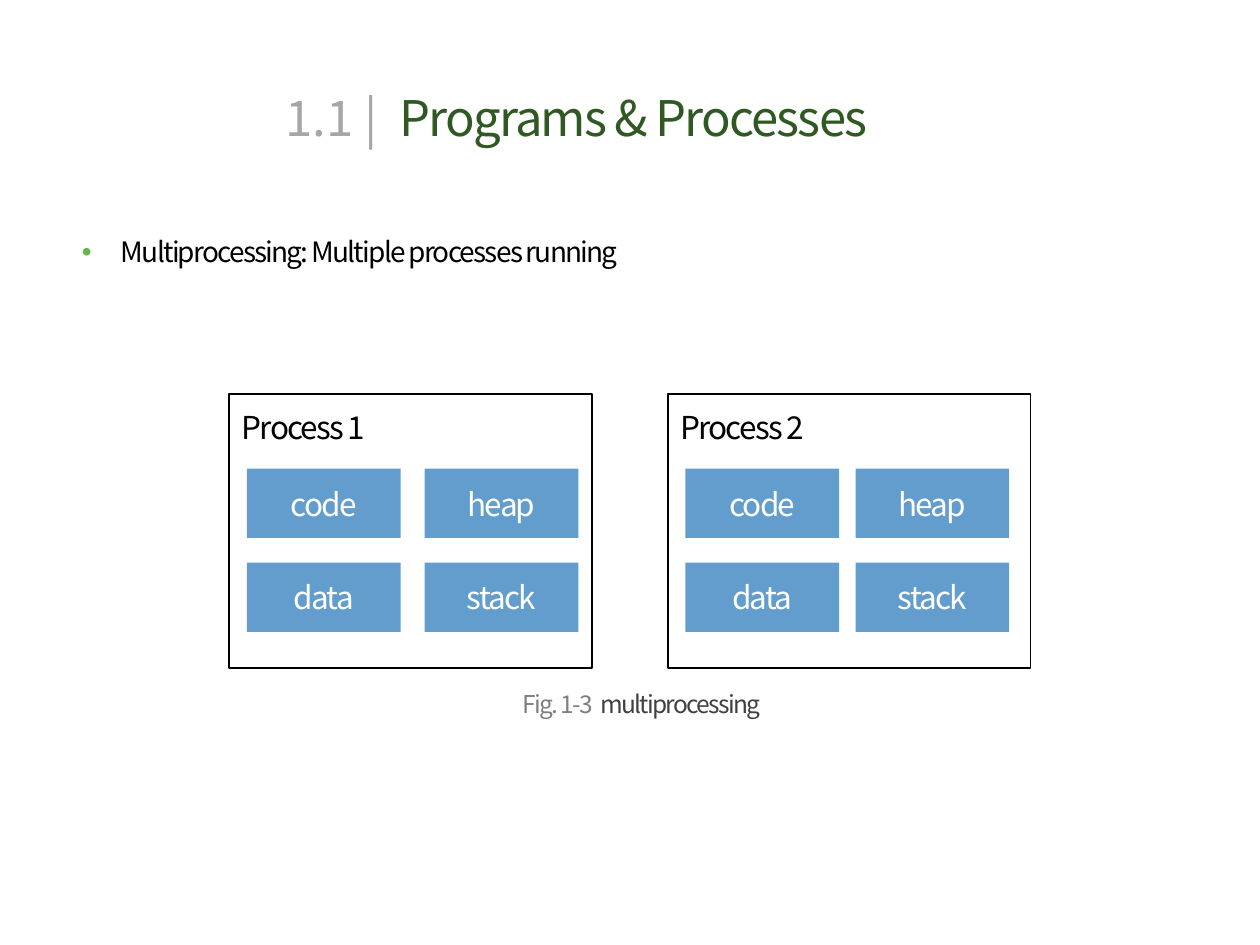
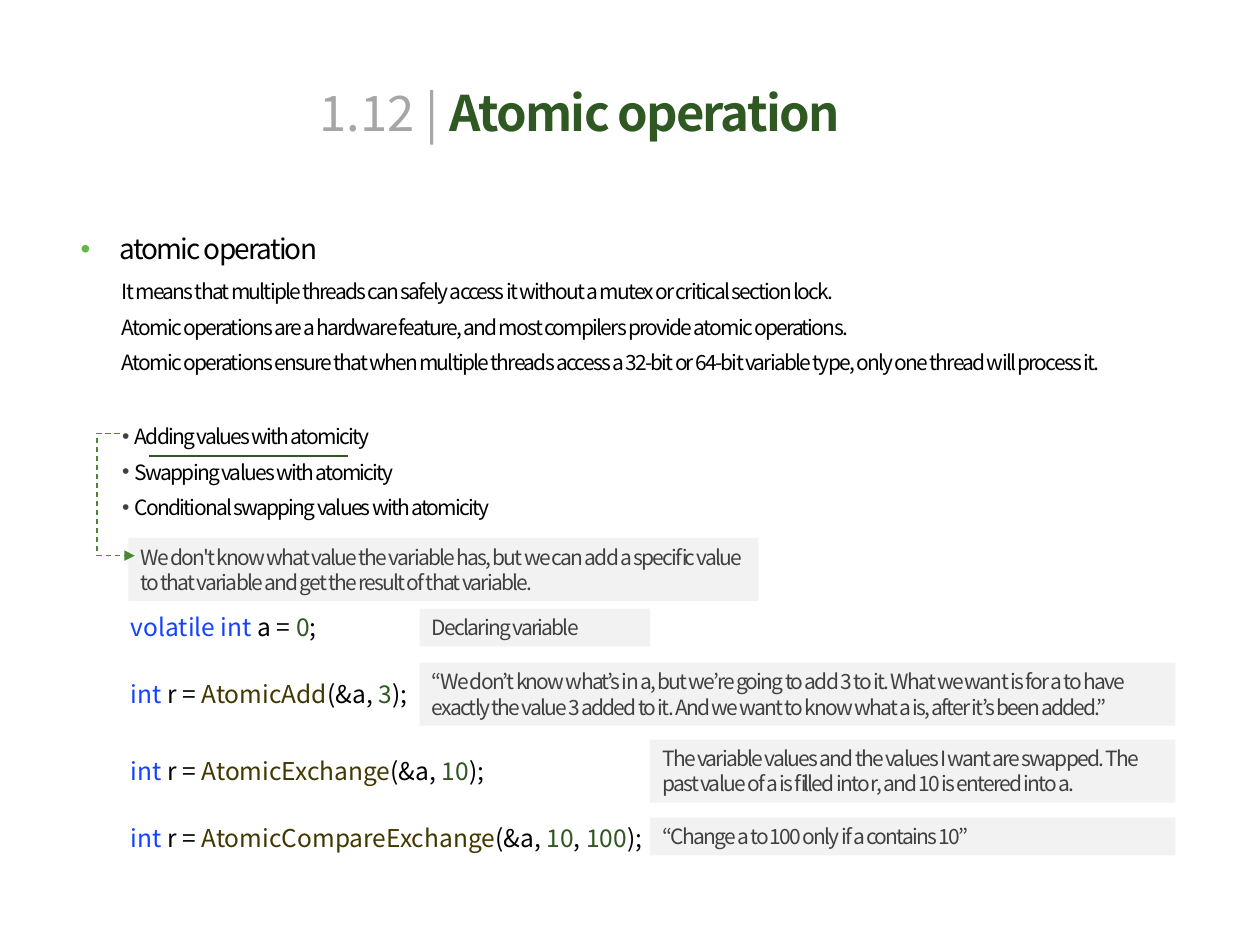
import dataclasses

import lxml.etree
import pptx
import pptx.dml.color
import pptx.enum.dml
import pptx.enum.shapes
import pptx.enum.text
import pptx.oxml.ns
import pptx.util

FONT = "Noto Sans CJK KR"
COLUMNS, ROWS = 100, 75
BLACK, WHITE = "000000", "FFFFFF"
NUMBER_GREY, LABEL_GREY, NOTE_TEXT, NOTE_FILL = "A6A6A6", "7F7F7F", "404040", "F2F2F2"
DARK_GREEN, ARROW_GREEN, BULLET_GREEN = "2F5822", "498735", "63B749"
TILE_BLUE, KEYWORD, FUNCTION = "639DCD", "1441FF", "433700"
TITLE_AND_BODY, TWO_BODIES = 1, 3


@dataclasses.dataclass
class Span:
    text: str
    color: str = BLACK
    spacing: float = -1
    bold: bool = False


def rgb(value):
    return pptx.dml.color.RGBColor.from_string(value)


def add_xml(parent, tag, **attributes):
    return lxml.etree.SubElement(parent, pptx.oxml.ns.qn(tag), attributes)


class Deck:
    def __init__(self):
        self.presentation = pptx.Presentation()
        self.presentation.slide_width = pptx.util.Inches(10)
        self.presentation.slide_height = pptx.util.Inches(7.5)
        self.slide = None

    def new_slide(self, layout):
        layouts = self.presentation.slide_layouts
        self.slide = self.presentation.slides.add_slide(layouts[layout])

    def x(self, columns):
        return round(self.presentation.slide_width * columns / COLUMNS)

    def y(self, rows):
        return round(self.presentation.slide_height * rows / ROWS)

    def box(self, left, top, width, height):
        return self.x(left), self.y(top), self.x(width), self.y(height)

    def fill_text(self, shape, lines, size, align="LEFT", anchor="TOP",
                  before=0, line_spacing=None, bullet=None, indent=0):
        frame = shape.text_frame
        frame.word_wrap = True
        frame.auto_size = pptx.enum.text.MSO_AUTO_SIZE.NONE
        frame.vertical_anchor = getattr(pptx.enum.text.MSO_ANCHOR, anchor)
        for index, spans in enumerate(lines):
            paragraph = frame.add_paragraph() if index else frame.paragraphs[0]
            paragraph.alignment = getattr(pptx.enum.text.PP_ALIGN, align)
            paragraph.space_before = pptx.util.Pt(before)
            if line_spacing:
                paragraph.line_spacing = line_spacing
            if bullet:
                self.add_bullet(paragraph, bullet, indent)
            self.set_font(paragraph.font, size)
            for span in spans:
                run = paragraph.add_run()
                run.text = span.text
                self.set_font(run.font, size)
                run.font.bold = span.bold
                run.font.color.rgb = rgb(span.color)
                run._r.get_or_add_rPr().set("spc", str(round(span.spacing * 100)))

    def set_font(self, font, size):
        font.name = FONT
        font.size = pptx.util.Pt(size)

    def add_bullet(self, paragraph, color, indent):
        properties = paragraph._p.get_or_add_pPr()
        properties.set("marL", str(self.x(indent)))
        properties.set("indent", str(-self.x(indent)))
        add_xml(add_xml(properties, "a:buClr"), "a:srgbClr", val=color)
        add_xml(properties, "a:buFont", typeface="Arial")
        add_xml(properties, "a:buChar", char="•")

    def place(self, shape, left, top, width, height):
        shape.left, shape.top, shape.width, shape.height = self.box(left, top, width, height)

    def title(self, left, top, spans):
        title = self.slide.shapes.title
        self.place(title, left, top, 70, 5.7)
        self.fill_text(title, [spans], 28, "CENTER", "MIDDLE")

    def bullets(self, position, area, lines, size, color, indent, line_spacing=None):
        body = self.slide.placeholders[position]
        self.place(body, *area)
        self.fill_text(body, [[Span(line)] for line in lines], size, before=6,
                       line_spacing=line_spacing, bullet=color, indent=indent)

    def text(self, area, lines, size, before=0):
        shape = self.slide.shapes.add_textbox(*self.box(*area))
        self.fill_text(shape, lines, size, before=before)

    def rectangle(self, area, fill=None, line=None):
        kind = pptx.enum.shapes.MSO_SHAPE.RECTANGLE
        shape = self.slide.shapes.add_shape(kind, *self.box(*area))
        shape.shadow.inherit = False
        if fill:
            shape.fill.solid()
            shape.fill.fore_color.rgb = rgb(fill)
        else:
            shape.fill.background()
        if line:
            shape.line.color.rgb = rgb(line)
            shape.line.width = pptx.util.Pt(1)
        else:
            shape.line.fill.background()
        return shape

    def tile(self, area, label):
        tile = self.rectangle(area, fill=TILE_BLUE)
        self.fill_text(tile, [[Span(label, WHITE)]], 18, "CENTER", "MIDDLE")

    def note(self, area, text):
        note = self.rectangle(area, fill=NOTE_FILL)
        self.fill_text(note, [[Span(text, NOTE_TEXT)]], 12, before=6)

    def rule(self, left, right, row):
        connector = self.slide.shapes.add_connector(
            pptx.enum.shapes.MSO_CONNECTOR.STRAIGHT,
            self.x(left), self.y(row), self.x(right), self.y(row))
        connector.line.color.rgb = rgb(DARK_GREEN)
        connector.line.width = pptx.util.Pt(1)
        add_xml(connector._element.spPr, "a:effectLst")

    def dashed_arrow(self, points):
        start, *rest = [(self.x(column), self.y(row)) for column, row in points]
        builder = self.slide.shapes.build_freeform(*start)
        builder.add_line_segments(rest, close=False)
        arrow = builder.convert_to_shape()
        arrow.shadow.inherit = False
        arrow.fill.background()
        arrow.line.color.rgb = rgb(ARROW_GREEN)
        arrow.line.width = pptx.util.Pt(0.75)
        arrow.line.dash_style = pptx.enum.dml.MSO_LINE.DASH
        add_xml(arrow.line._get_or_add_ln(), "a:tailEnd", type="triangle")

    def process(self, left, name, tile_pitch):
        self.rectangle((left, 31.3, 28.8, 21.7), line=BLACK)
        self.text((left, 31.9, 12, 4), [[Span(name)]], 18)
        for column, labels in enumerate((("code", "data"), ("heap", "stack"))):
            for row, label in enumerate(labels):
                area = (left + 1.4 + column * tile_pitch, 37.2 + row * 7.45, 12.2, 5.5)
                self.tile(area, label)

    def code(self, top, width, *tokens):
        spans = [Span(text, color, 0) for text, color in tokens]
        self.text((9.4, top, width, 3.3), [spans], 14)


def multiprocessing_slide(deck):
    deck.new_slide(TITLE_AND_BODY)
    deck.title(10.75, 6.4, [Span("1.1 |", NUMBER_GREY, 0), Span(" ", NUMBER_GREY, 6.3),
                            Span("Programs & Processes", DARK_GREEN)])
    deck.bullets(1, (5.5, 16.8, 89.4, 5), ["Multiprocessing: Multiple processes running"],
                 16, BULLET_GREEN, 3.1, line_spacing=1.5)
    deck.process(18.2, "Process 1", 14.1)
    deck.process(53, "Process 2", 13.5)
    deck.text((40.5, 54.2, 21.2, 3.4),
              [[Span("Fig. 1-3", LABEL_GREY), Span(" ", LABEL_GREY, 1.2),
                Span("multiprocessing", NOTE_TEXT)]], 14)


def atomic_slide(deck):
    deck.new_slide(TWO_BODIES)
    deck.title(11, 6, [Span("1.12 | ", NUMBER_GREY, 0),
                       Span("Atomic operation", DARK_GREEN, bold=True)])
    deck.bullets(1, (5.4, 17.9, 89.4, 3.7), ["atomic operation"], 16, BULLET_GREEN, 3.1)
    definitions = [
        "It means that multiple threads can safely access it without a mutex or critical section lock.",
        "Atomic operations are a hardware feature, and most compilers provide atomic operations.",
        "Atomic operations ensure that when multiple threads access a 32-bit or 64-bit variable type, "
        "only one thread will process it.",
    ]
    deck.text((8.7, 21.6, 84.7, 8.8), [[Span(line)] for line in definitions], 12, before=6)
    deck.note((10.2, 42.7, 50, 5),
              "We don't know what value the variable has, but we can add a specific value "
              "to that variable and get the result of that variable.")
    deck.bullets(2, (8.7, 33.1, 31.3, 8.8),
                 ["Adding values with atomicity", "Swapping values with atomicity",
                  "Conditional swapping values with atomicity"], 12, NOTE_TEXT, 1)
    deck.rule(11.8, 27.6, 36.2)
    deck.dashed_arrow([(9.5, 34.4), (7.7, 34.4), (7.7, 44.1), (10.7, 44.1)])

    deck.code(48.1, 16.9, ("volatile int ", KEYWORD), ("a = ", BLACK),
              ("0", DARK_GREEN), (";", BLACK))
    calls = [
        (53.4, 24.3, "AtomicAdd", ["3"]),
        (59.5, 30.5, "AtomicExchange", ["10"]),
        (64.8, 43.3, "AtomicCompareExchange", ["10", "100"]),
    ]
    for top, width, function, values in calls:
        arguments = [token for value in values for token in ((", ", BLACK), (value, DARK_GREEN))]
        deck.code(top, width, ("int", KEYWORD), (" r = ", BLACK), (function, FUNCTION),
                  ("(&a", BLACK), *arguments, (");", BLACK))

    right_edge = 93.3
    deck.note((33.3, 48.3, 18.3, 3), "Declaring variable")
    call_notes = [
        (33.3, 52.6, 5, "“We don’t know what’s in a, but we’re going to add 3 to it. What we want is "
                        "for a to have exactly the value 3 added to it. And we want to know what a is, "
                        "after it’s been added.”"),
        (51.6, 58.7, 5, "The variable values and the values I want are swapped. The past value of a "
                        "is filled into r, and 10 is entered into a."),
        (51.6, 64.9, 3, "“Change a to 100 only if a contains 10”"),
    ]
    for left, top, height, text in call_notes:
        deck.note((left, top, right_edge - left, height), text)


def main():
    deck = Deck()
    multiprocessing_slide(deck)
    atomic_slide(deck)
    deck.presentation.save("out.pptx")


if __name__ == "__main__":
    main()
